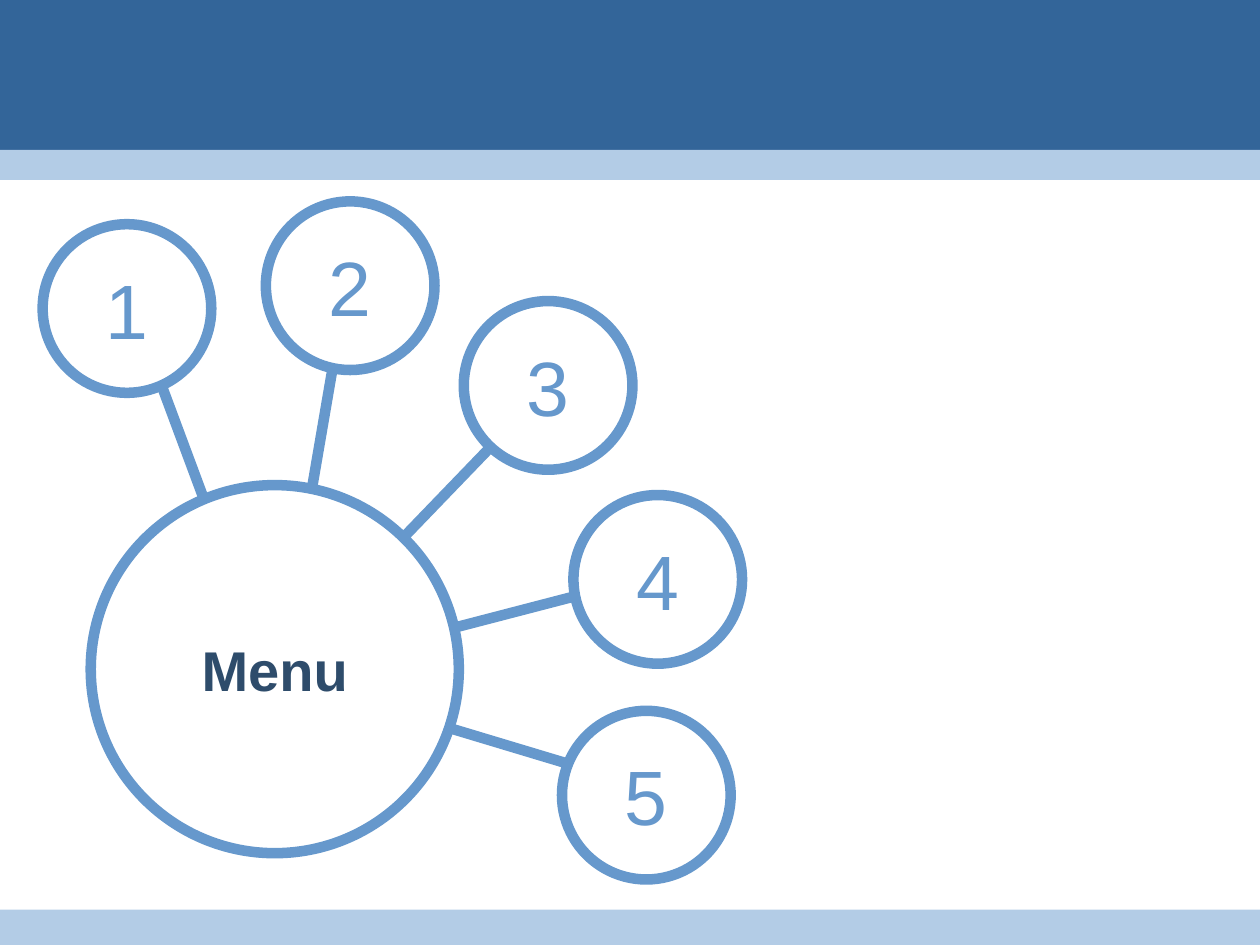
"""Build a menu slide with five numbered circles around a hub."""
from pptx import Presentation
from pptx.dml.color import RGBColor
from pptx.enum.shapes import MSO_CONNECTOR, MSO_SHAPE
from pptx.enum.text import MSO_ANCHOR, PP_ALIGN
from pptx.oxml.ns import qn
from pptx.util import Cm, Pt
from lxml.etree import SubElement

NAVY = RGBColor(0x33, 0x65, 0x99)
PALE = RGBColor(0xB3, 0xCC, 0xE6)
BLUE = RGBColor(0x66, 0x98, 0xCC)
DARK = RGBColor(0x2E, 0x4C, 0x6B)
WHITE = RGBColor(0xFF, 0xFF, 0xFF)

FRAME = {
    "margin_left": 0, "margin_right": 0, "margin_top": 0, "margin_bottom": 0,
    "vertical_anchor": MSO_ANCHOR.MIDDLE, "word_wrap": True,
}
DIGIT = {"name": "Arial", "size": Pt(44), "bold": False}
HUB = {"name": "Arial", "size": Pt(32), "bold": True}


def add_solid(kind, box, color):
    shape = shapes.add_shape(kind, *[Cm(n) for n in box])
    shape.shadow.inherit = False
    shape.fill.solid()
    shape.fill.fore_color.rgb = color
    shape.line.fill.background()
    return shape


def add_ring(left, top, size, text, style, color):
    ring = add_solid(MSO_SHAPE.OVAL, (left, top, size, size), WHITE)
    ring.line.color.rgb = BLUE
    ring.line.width = Pt(6)
    frame = ring.text_frame
    for key, value in FRAME.items():
        setattr(frame, key, value)
    para = frame.paragraphs[0]
    para.alignment = PP_ALIGN.CENTER
    run = para.add_run()
    run.text = text
    for key, value in style.items():
        setattr(run.font, key, value)
    run.font.color.rgb = color


deck = Presentation()
deck.slide_width, deck.slide_height = Cm(25.4), Cm(19.05)
slide = deck.slides.add_slide(deck.slide_layouts[6])
shapes = slide.shapes

bands = [(0, 3.33, NAVY), (3.02, 0.61, PALE), (18.34, 0.71, PALE)]
for top, height, color in bands:
    add_solid(MSO_SHAPE.RECTANGLE, (0, top, 25.4, height), color)

spots = [(0.86, 4.52), (5.36, 4.06), (9.35, 6.07), (11.56, 9.98), (11.33, 14.33)]
for number, (left, top) in enumerate(spots, 1):
    add_ring(left, top, 3.4, str(number), DIGIT, BLUE)

spokes = [
    (3.25, 7.75, 4.11, 10.06),
    (6.71, 7.39, 6.3, 9.78),
    (9.93, 8.97, 8.1, 10.87),
    (9.17, 12.65, 11.63, 12.01),
    (9.07, 14.68, 11.43, 15.39),
]
for ends in spokes:
    spoke = shapes.add_connector(MSO_CONNECTOR.STRAIGHT, *[Cm(n) for n in ends])
    spoke.line.color.rgb = BLUE
    spoke.line.width = Pt(6)
    SubElement(spoke._element.spPr, qn("a:effectLst"))

add_ring(1.83, 9.78, 7.42, "Menu", HUB, DARK)

deck.save("out.pptx")
